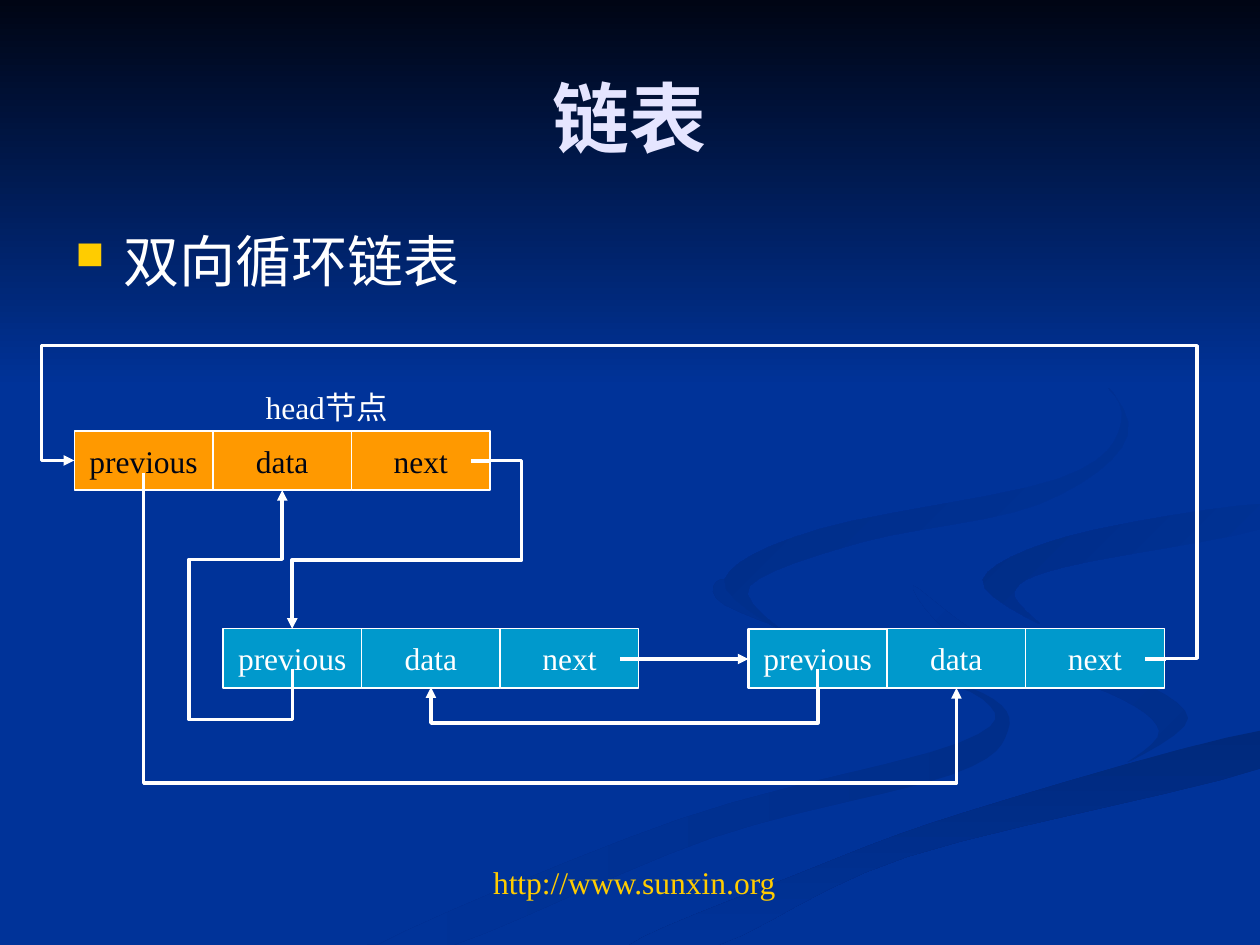
import pptx
import pptx.util
import pptx.dml.color
import pptx.enum.shapes
import pptx.enum.text
import pptx.oxml
import pptx.oxml.ns

Inches = pptx.util.Inches
ALIGN = pptx.enum.text.PP_ALIGN
ANCHOR = pptx.enum.text.MSO_ANCHOR
SHAPE = pptx.enum.shapes.MSO_SHAPE
CONNECTOR = pptx.enum.shapes.MSO_CONNECTOR
qn = pptx.oxml.ns.qn

BLUE, WHITE, NAVY = "003399", "FFFFFF", "000514"
ORANGE, TEAL, GOLD, LAVENDER = "FF9900", "0099CC", "FFCC00", "E5E5FF"
TOP, LEFT, BOTTOM, RIGHT = range(4)
CELL_W, CELL_H = 1.1, 0.47
CURVE_STEPS = 6

WAVES = [
    (("002E8A", BLUE), 180, [
        (7.8, 5.5), (6.8, 5.2), (6.1, 4.95), (5.75, 4.6), (5.75, 4.8),
        (6.8, 5.2), (7.8, 5.55), (7.6, 5.9), (5.4, 6.5), (3, 7.5),
        (3.6, 7.5), (5.65, 6.65), (7.55, 6.15), (8, 5.8)]),
    (("002E8A", BLUE), 225, [
        (9.43, 5.7), (8.9, 5.35), (7.9, 5.1), (7.25, 4.65), (7.65, 5.1),
        (8.8, 5.5), (9.2, 5.8), (8.95, 6.05)]),
    (("00297C", BLUE), 90, [
        (5, 7.5), (5.7, 7.5), (7.2, 6.8), (10, 6.1), (10, 5.8),
        (7.65, 6.45), (6.3, 6.95)]),
    ((BLUE, "002C85"), 225, [
        (7.8, 4.6), (8.25, 4.95), (8.05, 4.7), (8.45, 4.5), (10, 4.2),
        (10, 4), (8.5, 4.25)]),
    ((BLUE, "002B81"), 225, [
        (6.85, 4.3), (8.25, 4), (8.95, 3.45), (8.55, 2.85), (7.6, 2.35),
        (8.6, 2.9), (8.9, 3.35), (8.4, 3.8), (6.5, 4.2), (5.75, 4.6),
        (6.2, 5), (5.95, 4.65)]),
]


def rgb(value):
    return pptx.dml.color.RGBColor.from_string(value)


def paint(shape, colors, angle=0):
    shape.shadow.inherit = False
    shape.line.fill.background()
    if len(colors) == 1:
        shape.fill.solid()
        shape.fill.fore_color.rgb = rgb(colors[0])
        return
    shape.fill.gradient()
    shape.fill.gradient_angle = (360 - angle) % 360
    for stop, color, position in zip(shape.fill.gradient_stops, colors, (0, 1)):
        stop.color.rgb = rgb(color)
        stop.position = position


def write(shape, text, size, color, align=ALIGN.LEFT, bold=False,
          anchor=ANCHOR.TOP, wrap=True, bullet=False):
    tf = shape.text_frame
    for name, value in {"word_wrap": wrap, "vertical_anchor": anchor}.items():
        setattr(tf, name, value)
    p = tf.paragraphs[0]
    p.alignment = align
    if bullet:
        add_bullet(p)
    r = p.add_run()
    r.text = text
    font = {"name": "Times New Roman", "size": pptx.util.Pt(size), "bold": bold}
    for name, value in font.items():
        setattr(r.font, name, value)
    r.font.color.rgb = rgb(color)


def add_bullet(p):
    pPr = p._p.get_or_add_pPr()
    pPr.set("marL", str(Inches(0.38)))
    pPr.set("indent", str(Inches(-0.38)))
    ns = pptx.oxml.ns.nsdecls("a")
    for xml in (f'<a:buClr {ns}><a:srgbClr val="{GOLD}"/></a:buClr>',
                f'<a:buSzPct {ns} val="70000"/>',
                f'<a:buChar {ns} char="■"/>'):
        pPr.append(pptx.oxml.parse_xml(xml))


def add_text(s, box, *args, **formats):
    write(s.shapes.add_textbox(*map(Inches, box)), *args, **formats)


def smooth_outline(points, limits):
    outline = []
    for i in range(len(points)):
        near = [points[(i + k) % len(points)] for k in (-1, 0, 1, 2)]
        for step in range(CURVE_STEPS):
            t = step / CURVE_STEPS
            outline.append(tuple(
                Inches(min(limit, b + t * (c - a) / 2
                           + t ** 2 * (2 * a - 5 * b + 4 * c - d) / 2
                           + t ** 3 * (3 * b - a - 3 * c + d) / 2))
                for limit, a, b, c, d in zip(limits, *near)))
    return outline


def add_background(s, width, height, sky_height):
    s.background.fill.solid()
    s.background.fill.fore_color.rgb = rgb(BLUE)
    for colors, angle, points in WAVES:
        start, *rest = smooth_outline(points, (width, height))
        builder = s.shapes.build_freeform(*start)
        builder.add_line_segments(rest, close=True)
        paint(builder.convert_to_shape(), colors, angle)
    sky = s.shapes.add_shape(SHAPE.RECTANGLE, 0, 0, Inches(width), Inches(sky_height))
    paint(sky, (NAVY, BLUE), 90)


def add_node(s, x, y, fill, color, first_line=0.75):
    cells = []
    for i, label in enumerate(("previous", "data", "next")):
        box = (x + i * CELL_W, y, CELL_W, CELL_H)
        cell = s.shapes.add_shape(SHAPE.RECTANGLE, *map(Inches, box))
        paint(cell, (fill,))
        cell.line.color.rgb = rgb(WHITE)
        cell.line.width = pptx.util.Pt(0.75 if i else first_line)
        write(cell, label, 18, color, ALIGN.CENTER, anchor=ANCHOR.MIDDLE, wrap=False)
        cells.append(cell)
    return cells


def add_line(s, kind, start, end, arrow=False):
    line = s.shapes.add_connector(kind, *map(Inches, (*start, *end)))
    line.line.color.rgb = rgb(WHITE)
    line.line.width = pptx.util.Pt(2)
    spPr = line._element.spPr
    if arrow:
        ln = spPr.find(qn("a:ln"))
        ln.append(ln.makeelement(qn("a:tailEnd"), {"type": "triangle"}))
    spPr.append(spPr.makeelement(qn("a:effectLst"), {}))
    return line


def add_elbow(s, start, end, turned, flips, adjusts):
    line = add_line(s, CONNECTOR.ELBOW, (0, 0), (1, 1), arrow=True)
    line.begin_connect(*start)
    line.end_connect(*end)
    spPr = line._element.spPr
    xfrm = spPr.find(qn("a:xfrm"))
    if turned:
        w, h = max(line.height, Inches(0.01)), line.width
        left = line.left + (line.width - w) // 2
        top = line.top + (line.height - h) // 2
        for name, value in dict(left=left, top=top, width=w, height=h).items():
            setattr(line, name, value)
        xfrm.set("rot", str(270 * 60000))
    for axis in "HV":
        xfrm.set("flip" + axis, str(int(axis in flips)))
    geom = spPr.find(qn("a:prstGeom"))
    geom.set("prst", f"bentConnector{len(adjusts) + 2}")
    guides = geom.find(qn("a:avLst"))
    for i, value in enumerate(adjusts, 1):
        guide = {"name": f"adj{i}", "fmla": f"val {round(value * 100000)}"}
        guides.append(guides.makeelement(qn("a:gd"), guide))


def add_linked_list(s):
    head = add_node(s, 0.59, 3.42, ORANGE, NAVY)
    middle = add_node(s, 1.77, 4.99, TEAL, WHITE)
    last = add_node(s, 5.94, 4.99, TEAL, WHITE, 1.25)
    add_text(s, (2.01, 3.03, 1.34, 0.4), "head节点", 18, WHITE)

    add_line(s, CONNECTOR.STRAIGHT, (4.92, 5.23), (5.94, 5.23), arrow=True)
    for x, y in ((3.74, 3.66), (9.09, 5.23)):
        add_line(s, CONNECTOR.STRAIGHT, (x, y), (x + 0.16, y))
    for x, y in ((1.14, 3.75), (2.32, 5.31), (6.49, 5.31)):
        add_line(s, CONNECTOR.STRAIGHT, (x, y), (x, y + 0.16))

    for elbow in (
        ((last[0], BOTTOM), (middle[1], BOTTOM), True, "V", (-27.78,)),
        ((head[2], RIGHT), (middle[0], TOP), False, "H", (-0.16, 0.59)),
        ((middle[0], BOTTOM), (head[1], BOTTOM), True, "V", (-0.16, 10.27, 0.65)),
        ((head[0], BOTTOM), (last[1], BOTTOM), True, "H", (1.48,)),
        ((last[2], RIGHT), (head[0], LEFT), False, "HV", (-0.03, 1.58, 1.03)),
    ):
        add_elbow(s, *elbow)


def main():
    prs = pptx.Presentation()
    prs.slide_width, prs.slide_height = Inches(10), Inches(7.5)
    s = prs.slides.add_slide(prs.slide_layouts[6])
    add_background(s, 10, 7.5, 3.08)
    add_text(s, (0.5, 0.3, 9, 1.25), "链表", 44, LAVENDER, ALIGN.CENTER,
             bold=True, anchor=ANCHOR.MIDDLE)
    add_text(s, (0.5, 1.75, 9, 0.66), "双向循环链表", 32, WHITE, bullet=True)
    add_linked_list(s)
    add_text(s, (1.77, 6.8, 6.53, 0.4), "http://www.sunxin.org", 18, GOLD, ALIGN.CENTER)
    prs.save("out.pptx")


if __name__ == "__main__":
    main()
